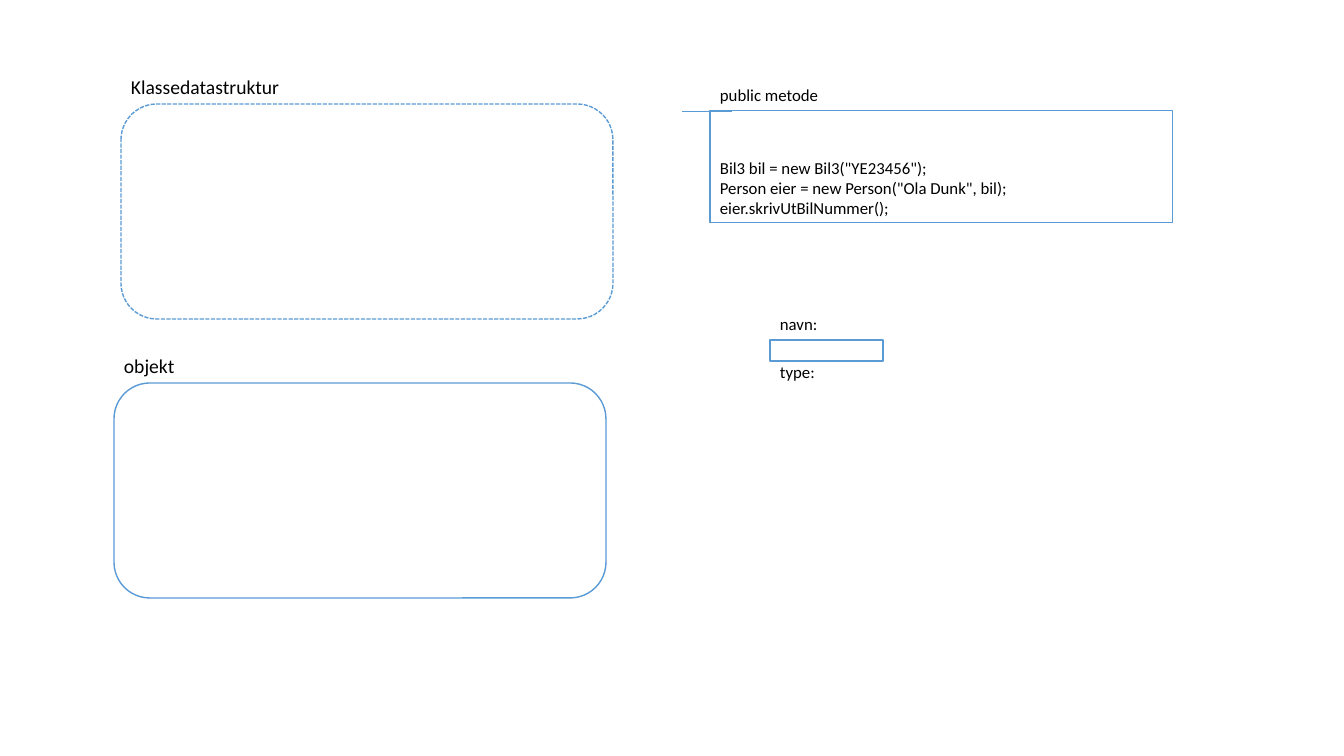
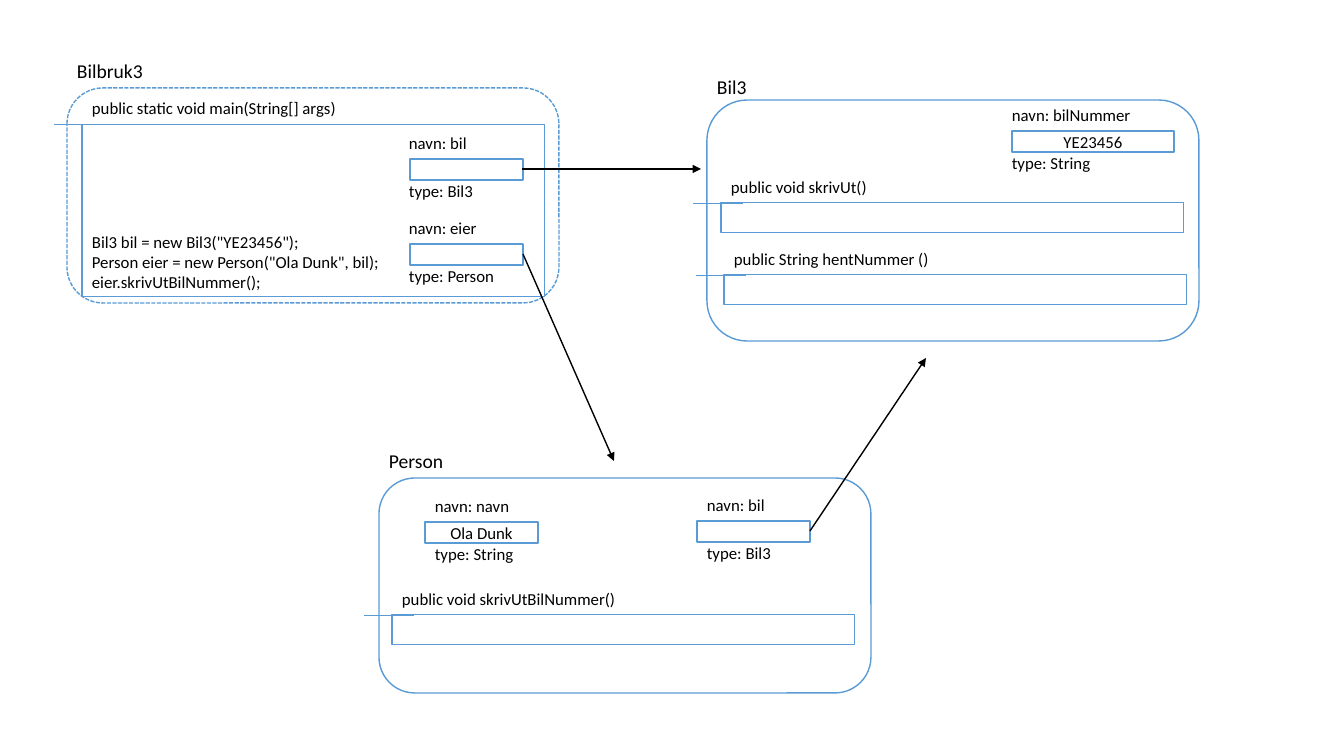
from pptx import Presentation
from pptx import util as u
from pptx.dml.color import RGBColor
from pptx.enum import dml, shapes, text
from pptx.oxml.ns import qn
from lxml import etree

SCALE = 914400 / 100.8
FONT = "Calibri"
BLACK, WHITE, BLUE = "000000", "FFFFFF", "5B9BD5"
TITLE_SIZE, TEXT_SIZE = 14, 12
TITLE_H, LABEL_H = 34, 31
CLASS_W, METHOD_W, FIELD_W, FIELD_H = 492, 463, 113, 21
TYPE_DROP = 17


def add_box(slide, place, lines=(), size=TEXT_SIZE, border=0, rounded=False,
            filled=False, dashed=False, anchor="TOP", align="LEFT"):
    """Add a text box, or an outlined shape if border is given in points."""
    place = [round(length * SCALE) for length in place]
    if border:
        kind = "ROUNDED_RECTANGLE" if rounded else "RECTANGLE"
        box = slide.shapes.add_shape(shapes.MSO_SHAPE[kind], *place)
        box.shadow.inherit = False
        box.line.color.rgb = RGBColor.from_string(BLUE)
        box.line.width = u.Pt(border)
        if dashed:
            box.line.dash_style = dml.MSO_LINE.SQUARE_DOT
        if filled:
            box.fill.solid()
            box.fill.fore_color.rgb = RGBColor.from_string(WHITE)
        else:
            box.fill.background()
    else:
        box = slide.shapes.add_textbox(*place)
    frame = box.text_frame
    frame.word_wrap = True
    frame.vertical_anchor = text.MSO_ANCHOR[anchor]
    if anchor == "MIDDLE":
        frame.margin_top = frame.margin_bottom = 0
    for number, line in enumerate(lines):
        paragraph = frame.add_paragraph() if number else frame.paragraphs[0]
        paragraph.alignment = text.PP_ALIGN[align]
        run = paragraph.add_run()
        run.text = line
        run.font.name = FONT
        run.font.size = u.Pt(size)
        run.font.color.rgb = RGBColor.from_string(BLACK)


def add_line(slide, ends, color, width, arrow=False):
    """Add a straight line from ends[:2] to ends[2:], with an optional arrowhead."""
    line = slide.shapes.add_connector(
        shapes.MSO_CONNECTOR.STRAIGHT, *[round(end * SCALE) for end in ends])
    line.line.color.rgb = RGBColor.from_string(color)
    line.line.width = u.Pt(width)
    if arrow:
        etree.SubElement(line.line._get_or_add_ln(), qn("a:tailEnd"), type="triangle")
    etree.SubElement(line._element.spPr, qn("a:effectLst"))


CODE = ['Bil3 bil = new Bil3("YE23456");',
        'Person eier = new Person("Ola Dunk", bil);',
        "eier.skrivUtBilNummer();"]

# classes: title, left, top, height, title height above the frame, dashed
# methods: signature, left, top, height, code
# fields: name, type, value, left, top, width, label shift
# arrows: start x, start y, end x, end y
diagrams = [
    {
        "classes": [("Klassedatastruktur", 121, 104, 215, TITLE_H, True),
                    ("objekt", 114, 383, 215, TITLE_H, False)],
        "methods": [("public metode", 710, 111, 112, CODE)],
        "fields": [("navn:", "type:", "", 770, 340, FIELD_W, 0)],
        "arrows": [],
    },
    {
        "classes": [("Person", 379, 478, 215, TITLE_H, False),
                    ("Bilbruk3", 67, 88, 215, TITLE_H, True),
                    ("Bil3", 707, 100, 241, 30, False)],
        "methods": [("public static void main(String[] args)", 82, 124, 173, CODE),
                    ("public void skrivUt()", 721, 203, 30, []),
                    ("public String hentNummer ()", 724, 275, 30, []),
                    ("public void skrivUtBilNummer()", 392, 615, 30, [])],
        "fields": [("navn: eier", "type: Person", "", 410, 244, FIELD_W, -11),
                   ("navn: bil", "type: Bil3", "", 410, 159, FIELD_W, -11),
                   ("navn: bilNummer", "type: String", "YE23456", 1012, 131, 162, -10),
                   ("navn: bil", "type: Bil3", "", 697, 521, FIELD_W, 0),
                   ("navn: navn", "type: String", "Ola Dunk", 425, 522, FIELD_W, 0)],
        "arrows": [(522, 169, 701, 169), (810, 531, 926, 358), (523, 254, 614, 461)],
    },
]

deck = Presentation()
deck.slide_width = round(1344 * SCALE)
deck.slide_height = round(756 * SCALE)

for diagram in diagrams:
    slide = deck.slides.add_slide(deck.slide_layouts[6])

    for title, left, top, height, rise, dashed in diagram["classes"]:
        add_box(slide, (left, top, CLASS_W, height), border=1,
                rounded=True, filled=True, dashed=dashed)
        add_box(slide, (left, top - rise, CLASS_W, TITLE_H), [title], TITLE_SIZE)

    for signature, left, top, height, code in diagram["methods"]:
        add_box(slide, (left, top, METHOD_W, height), code, border=0.75, anchor="BOTTOM")
        add_line(slide, (left + 22, top, left - 28, top), BLUE, 0.5)
        add_box(slide, (left, top - LABEL_H, METHOD_W, LABEL_H), [signature])

    for name, kind, value, left, top, width, shift in diagram["fields"]:
        add_box(slide, (left, top, width, FIELD_H), [value] if value else [],
                border=1, filled=True, anchor="MIDDLE", align="CENTER")
        for label, label_top in ((name, top - LABEL_H), (kind, top + TYPE_DROP)):
            add_box(slide, (left + shift, label_top, width, LABEL_H), [label])

    for ends in diagram["arrows"]:
        add_line(slide, ends, BLACK, 1, arrow=True)

deck.save("out.pptx")
